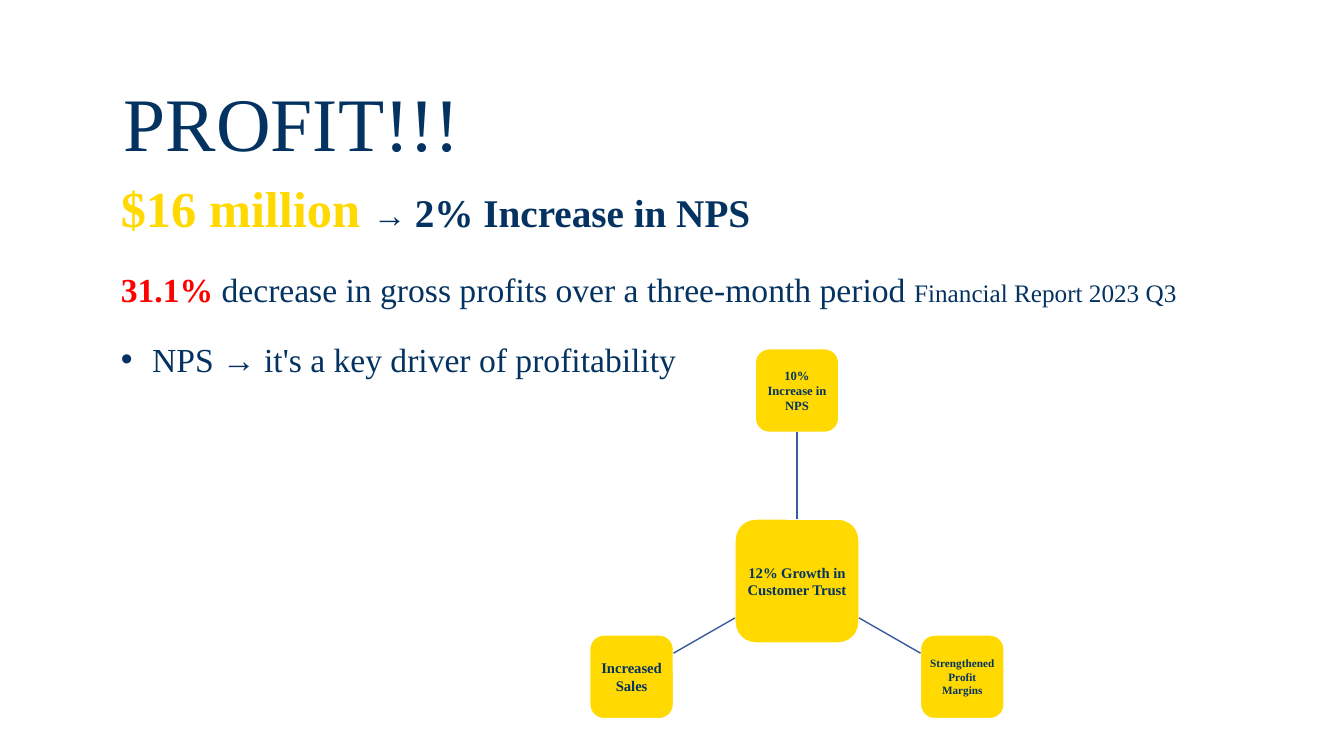
from pptx import Presentation
from pptx.dml.color import RGBColor
from pptx.enum.shapes import MSO_CONNECTOR as Connector, MSO_SHAPE as Shape
from pptx.enum.text import MSO_ANCHOR as Anchor, MSO_AUTO_SIZE as AutoSize, PP_ALIGN as Align
from pptx.oxml.ns import qn
from pptx.util import Inches, Pt
from lxml.etree import SubElement

NAVY = RGBColor(0x05, 0x33, 0x61)
GOLD = RGBColor(0xFF, 0xD9, 0x00)
RED = RGBColor(0xFF, 0x00, 0x00)
BLUE = RGBColor(0x36, 0x5B, 0x9D)
WHITE = RGBColor(0xFF, 0xFF, 0xFF)


class SlideBuilder:
    font_name = "Times New Roman"

    def __init__(self, slide):
        self.slide = slide

    def style(self, run, size, color=NAVY, bold=False):
        run.font.name = self.font_name
        run.font.size = Pt(size)
        run.font.color.rgb = color
        run.font.bold = bold

    def text(self, left, top, width, height, paragraphs, size_to_text=True):
        """Each paragraph is a list of (text, size, color, bold) runs."""
        box = self.slide.shapes.add_textbox(
            Inches(left), Inches(top), Inches(width), Inches(height))
        frame = box.text_frame
        frame.word_wrap = True
        frame.auto_size = AutoSize.SHAPE_TO_FIT_TEXT if size_to_text else AutoSize.NONE
        for index, runs in enumerate(paragraphs):
            paragraph = frame.add_paragraph() if index else frame.paragraphs[0]
            for words, *look in runs:
                run = paragraph.add_run()
                run.text = words
                self.style(run, *look)
        return frame

    def bullet(self, paragraph, indent):
        props = paragraph._p.get_or_add_pPr()
        props.set("marL", str(Inches(indent)))
        props.set("indent", str(-Inches(indent)))
        SubElement(props, qn("a:buFont")).set("typeface", "Arial")
        SubElement(props, qn("a:buChar")).set("char", "•")

    def node(self, left, top, side, label, size):
        box = self.slide.shapes.add_shape(
            Shape.ROUNDED_RECTANGLE, Inches(left), Inches(top), Inches(side), Inches(side))
        box.shadow.inherit = False
        box.fill.solid()
        box.fill.fore_color.rgb = GOLD
        box.line.color.rgb = WHITE
        box.line.width = Pt(1)
        frame = box.text_frame
        frame.word_wrap = True
        frame.vertical_anchor = Anchor.MIDDLE
        frame.margin_left = frame.margin_right = Inches(0.03)
        frame.margin_top = frame.margin_bottom = Inches(0.03)
        frame.text = label
        frame.paragraphs[0].alignment = Align.CENTER
        self.style(frame.paragraphs[0].runs[0], size, bold=True)
        return box

    def spoke(self, x1, y1, x2, y2):
        line = self.slide.shapes.add_connector(
            Connector.STRAIGHT, Inches(x1), Inches(y1), Inches(x2), Inches(y2))
        line.line.color.rgb = BLUE
        line.line.width = Pt(1)
        SubElement(line._element.spPr, qn("a:effectLst"))
        return line


def main():
    deck = Presentation()
    deck.slide_width, deck.slide_height = Inches(13.33), Inches(7.5)
    builder = SlideBuilder(deck.slides.add_slide(deck.slide_layouts[6]))

    # Title
    title = builder.text(0.98, 0.72, 3.83, 0.99, [[("PROFIT!!!", 54)]], size_to_text=False)
    title.vertical_anchor = Anchor.BOTTOM
    title.paragraphs[0].alignment = Align.CENTER
    title.paragraphs[0].line_spacing = 0.9

    # Headline and findings
    builder.text(1.1, 1.71, 9.83, 0.71, [[
        ("$16 million ", 36, GOLD, True),
        ("→ ", 24, NAVY, True),
        ("2% Increase in NPS", 28, NAVY, True)]])
    findings = builder.text(1.1, 2.62, 11.12, 1.2, [
        [("31.1% ", 24, RED, True),
         ("decrease in gross profits over a three-month period ", 24),
         ("Financial Report 2023 Q3", 18)],
        [("NPS → it's a key driver of profitability", 24)]])
    driver = findings.paragraphs[1]
    driver.space_before = Pt(21)
    builder.bullet(driver, 0.31)

    # Hub with three satellites
    hub_left, hub_top, hub_side, side = 7.29, 5.15, 1.23, 0.83
    center = hub_left + hub_side / 2
    reach, low_top = 1.64, 6.3
    trust = builder.node(hub_left, hub_top, hub_side, "12% Growth in Customer Trust", 10.5)

    nps_top = 3.46
    nps = builder.node(center - side / 2, nps_top, side, "10% Increase in NPS", 9)
    rise = builder.spoke(center, hub_top, center, nps_top + side)
    rise.begin_connect(trust, 0)
    rise.end_connect(nps, 2)

    for direction, label, size in ((1, "Strengthened Profit Margins", 8),
                                   (-1, "Increased Sales", 10.5)):
        middle = center + direction * reach
        builder.node(middle - side / 2, low_top, side, label, size)
        builder.spoke(center + direction * hub_side / 2, 6.13,
                      middle - direction * side / 2, 6.48)

    deck.save("out.pptx")


if __name__ == "__main__":
    main()
